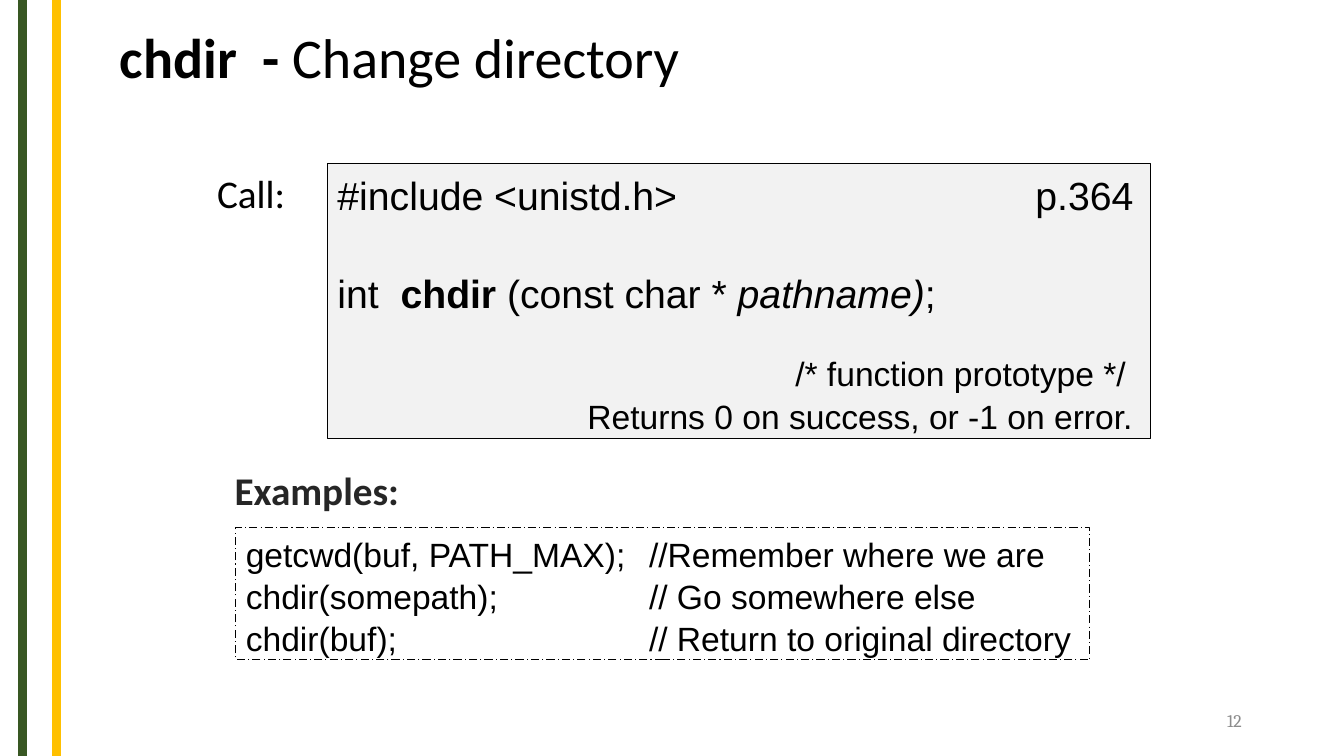
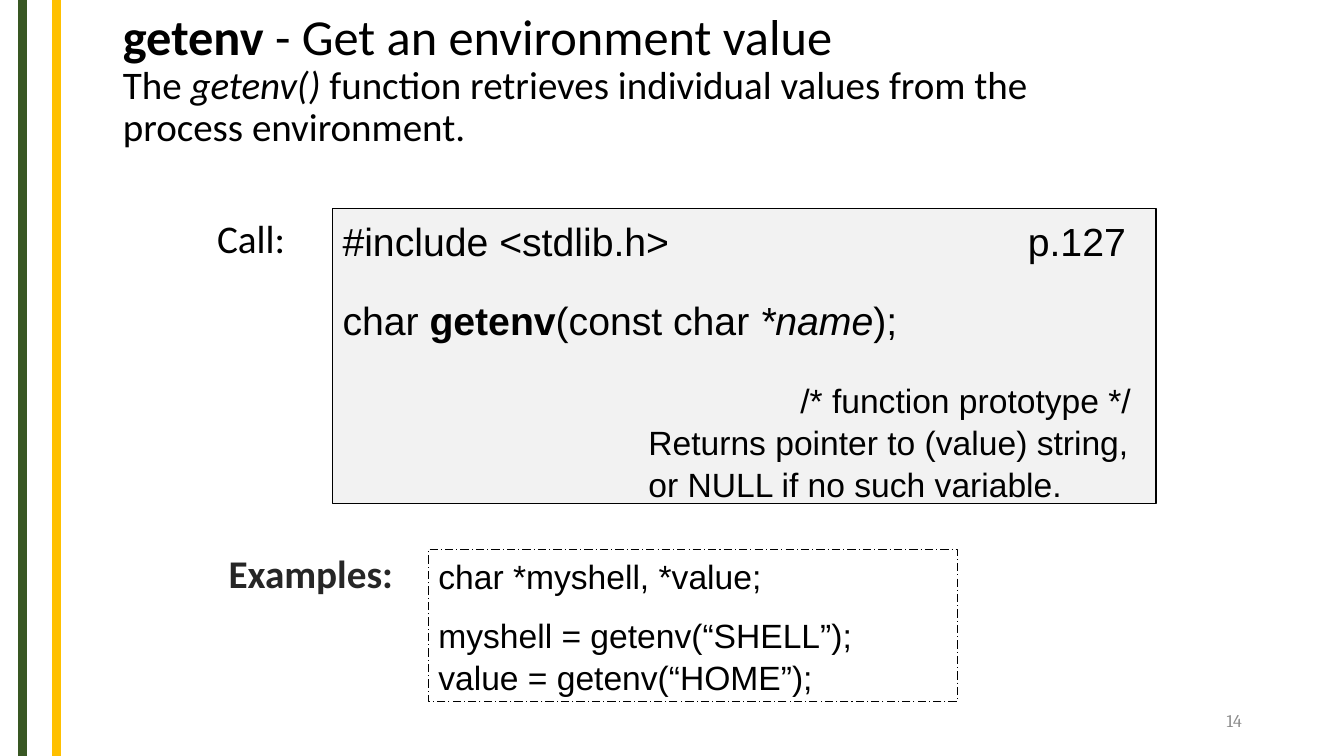
from lxml import etree
from pptx import Presentation
from pptx.dml.color import RGBColor
from pptx.enum import dml, shapes, text
from pptx.oxml import ns
from pptx.util import Pt

GREEN = RGBColor(0x38, 0x57, 0x23)
GOLD = RGBColor(0xFF, 0xC0, 0x00)
BLACK = RGBColor(0, 0, 0)
CHARCOAL = RGBColor(0x26, 0x26, 0x26)
GREY = RGBColor(0x8C, 0x8C, 0x8C)
PALE = RGBColor(0xF2, 0xF2, 0xF2)

SLIDE_WIDTH, SLIDE_HEIGHT = 960, 540
BANDS = [(16, GREEN), (40.3, GOLD)]
CALL_LEFT = 148
CODE_WIDTH = 588.2
COMMENT_INDENT = 327
COMMENT_TAB = 288


def line(*runs, size=24, before=0, indent=0, tab=None):
    """One paragraph; each run is a text or a (text, style) pair, style being "b" or "i"."""
    return dict(runs=runs, size=size, before=before, indent=indent, tab=tab)


def example(words, before=1):
    return line(words, before=before, tab=(COMMENT_TAB, "l"))


PROTOTYPE_COMMENT = line("/* function prototype */", before=26, indent=COMMENT_INDENT)

PAGES = [
    dict(
        number="12",
        title_box=(78.5, 5.8, 743.8, 74.9),
        title=[line(("chdir  - ", "b"), "Change directory", size=40)],
        code_box=(234, 116.6, CODE_WIDTH, 196.6),
        code=[
            line("#include <unistd.h>\tp.364", size=28, tab=(568.5, "r")),
            line("int  ", ("chdir", "b"), " (const char * ", ("pathname)", "i"), ";",
                 size=28, before=36.4),
            PROTOTYPE_COMMENT,
            line("Returns 0 on success, or -1 on error.", before=1.5, indent=178.5),
        ],
        label_at=(160.5, 329.8),
        example_box=(168.5, 376.6, 610, 94.6),
        examples=[
            example("getcwd(buf, PATH_MAX);\t//Remember where we are", before=0),
            example("chdir(somepath);\t// Go somewhere else"),
            example("chdir(buf);\t// Return to original directory"),
        ],
    ),
    dict(
        number="14",
        title_box=(80.6, 5.8, 741.6, 104),
        title=[
            line(("getenv", "b"), " - Get an environment value", size=36),
            line("The ", ("getenv() ", "i"),
                 "function retrieves individual values from the process environment.",
                 size=27.9),
        ],
        code_box=(237.6, 149, CODE_WIDTH, 211),
        code=[
            line("#include <stdlib.h>\tp.127", size=28, tab=(559.5, "r")),
            line("char ", ("getenv", "b"), "(const char ", ("*name", "i"), ");",
                 size=28, before=23),
            PROTOTYPE_COMMENT,
            line("Returns pointer to (value) string,", before=1.3, indent=218.5),
            line("or NULL if no such variable.", before=1.3, indent=218.5),
        ],
        label_at=(156.2, 388.8),
        example_box=(306, 392.4, 378, 108.7),
        examples=[
            example("char *myshell, *value;", before=0),
            example("myshell = getenv(“SHELL”);", before=13),
            example("value = getenv(“HOME”);"),
        ],
    ),
]


def write(box, lines, font, color=BLACK, align=text.PP_ALIGN.LEFT,
          anchor=text.MSO_ANCHOR.TOP, inset=3.6, spacing=1.0):
    frame = box.text_frame
    frame.word_wrap = True
    frame.auto_size = text.MSO_AUTO_SIZE.NONE
    frame.vertical_anchor = anchor
    frame.margin_left = frame.margin_right = Pt(7.2)
    frame.margin_top = frame.margin_bottom = Pt(inset)
    for index, item in enumerate(lines):
        para = frame.add_paragraph() if index else frame.paragraphs[0]
        properties = para._p.get_or_add_pPr()
        if item["indent"]:
            properties.set("marL", str(Pt(item["indent"])))
        if item["tab"]:
            position, side = item["tab"]
            stops = etree.SubElement(properties, ns.qn("a:tabLst"))
            etree.SubElement(stops, ns.qn("a:tab"), pos=str(Pt(position)), algn=side)
        para.alignment = align
        para.line_spacing = spacing
        para.space_before = Pt(item["before"])
        for run in item["runs"]:
            words, style = (run, "") if isinstance(run, str) else run
            span = para.add_run()
            span.text = words
            span.font.name = font
            span.font.size = Pt(item["size"])
            span.font.color.rgb = color
            span.font.bold = style == "b"
            span.font.italic = style == "i"


def add_text(page, place, item, font="Calibri", **options):
    box = page.shapes.add_textbox(*map(Pt, place))
    write(box, [item], font, **options)


def add_code(page, place, lines, fill=None, dash=None, inset=6):
    box = page.shapes.add_shape(shapes.MSO_SHAPE.RECTANGLE, *map(Pt, place))
    box.shadow.inherit = False
    if fill is None:
        box.fill.background()
    else:
        box.fill.solid()
        box.fill.fore_color.rgb = fill
    box.line.color.rgb = BLACK
    box.line.width = Pt(0.75)
    if dash is not None:
        box.line.dash_style = dash
    write(box, lines, "Arial", inset=inset)


def add_master_bands(deck, page):
    """Draw the vertical bands on a page, then move them to the slide master."""
    for number, (x, color) in enumerate(BANDS, start=100):
        band = page.shapes.add_connector(
            shapes.MSO_CONNECTOR.STRAIGHT, Pt(x), Pt(0), Pt(x), Pt(SLIDE_HEIGHT))
        band.line.color.rgb = color
        band.line.width = Pt(6)
        etree.SubElement(band.element.spPr, ns.qn("a:effectLst"))
        band.element.xpath(".//p:cNvPr")[0].set("id", str(number))
        deck.slide_master.shapes.element.append(band.element)


def add_page(deck, content):
    page = deck.slides.add_slide(deck.slide_layouts.get_by_name("Title Only"))
    title = page.shapes.title
    title.left, title.top, title.width, title.height = map(Pt, content["title_box"])
    write(title, content["title"], "Calibri", anchor=text.MSO_ANCHOR.MIDDLE,
          inset=0, spacing=0.9)
    call_top = content["code_box"][1] + 0.5
    add_text(page, (CALL_LEFT, call_top, 75, 42), line("Call:", size=28))
    add_text(page, (*content["label_at"], 140, 41), line(("Examples:", "b"), size=28),
             color=CHARCOAL)
    add_text(page, (678.2, 500.4, 216, 28.8), line(content["number"], size=12.7),
             font="Cambria", color=GREY, align=text.PP_ALIGN.RIGHT,
             anchor=text.MSO_ANCHOR.MIDDLE)
    add_code(page, content["code_box"], content["code"], fill=PALE)
    add_code(page, content["example_box"], content["examples"],
             dash=dml.MSO_LINE.LONG_DASH_DOT, inset=5)
    return page


def main():
    deck = Presentation()
    deck.slide_width, deck.slide_height = Pt(SLIDE_WIDTH), Pt(SLIDE_HEIGHT)
    pages = [add_page(deck, content) for content in PAGES]
    add_master_bands(deck, pages[0])
    deck.save("out.pptx")


if __name__ == "__main__":
    main()
